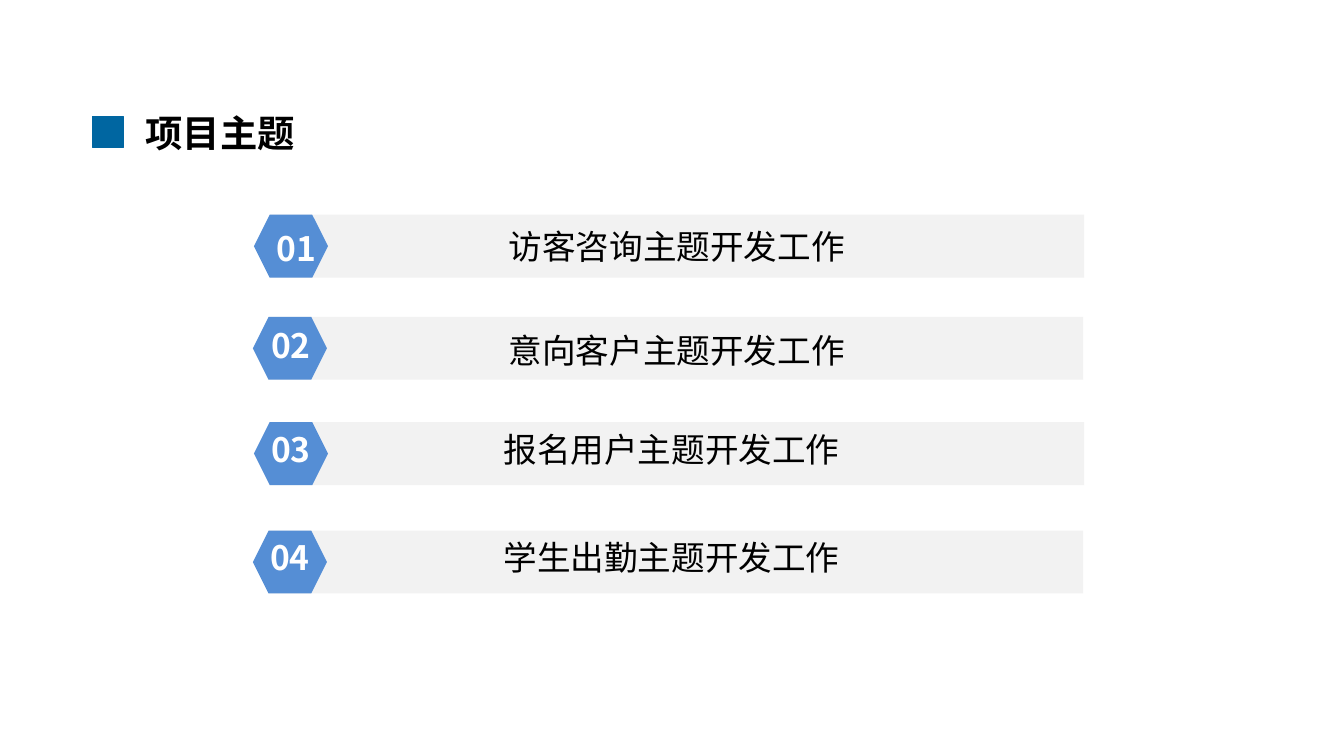
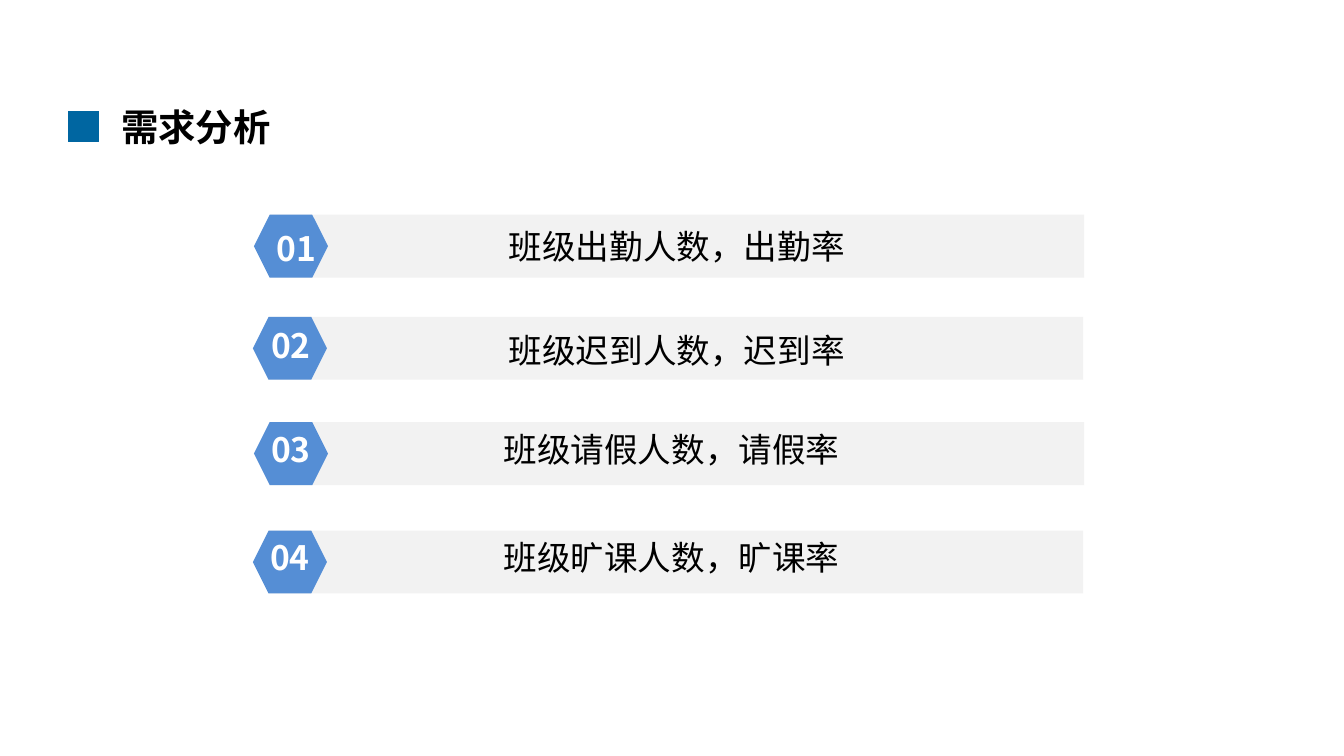
import pptx
import pptx.util
import pptx.dml.color
import pptx.enum.shapes
import pptx.enum.text
import pptx.oxml.ns
import lxml.etree

Cm = pptx.util.Cm
Pt = pptx.util.Pt
SHAPE = pptx.enum.shapes.MSO_SHAPE
ALIGN = pptx.enum.text.PP_ALIGN

FONT = "Noto Sans CJK SC"
COLORS = {
    "marker": "0066A1",
    "band": "F2F2F2",
    "badge": "558ED5",
    "text": "000000",
    "number": "FFFFFF",
}

TILE = 0.29
BAND_WIDTH, BAND_HEIGHT = 15.39, 1.19
BADGE_WIDTH = 1.4
LABEL_WIDTH, LABEL_HEIGHT = 11.2, 1.02

# left, top, number (left, top), label (left, top)
ROWS = [
    (4.8, 4.06, (4.9, 4.19), (7.19, 4.14)),
    (4.78, 5.99, (4.8, 6.02), (7.19, 6.12)),
    (4.8, 7.98, (4.8, 7.98), (7.09, 7.98)),
    (4.78, 10.03, (4.78, 10.03), (7.09, 10.03)),
]

SLIDES = [
    ("项目主题", 1.75, 2.21, [
        "访客咨询主题开发工作",
        "意向客户主题开发工作",
        "报名用户主题开发工作",
        "学生出勤主题开发工作",
    ]),
    ("需求分析", 1.29, 2.1, [
        "班级出勤人数，出勤率",
        "班级迟到人数，迟到率",
        "班级请假人数，请假率",
        "班级旷课人数，旷课率",
    ]),
]


def add_block(shapes, preset, left, top, width, height, color, outlined=False):
    block = shapes.add_shape(preset, Cm(left), Cm(top), Cm(width), Cm(height))
    block.shadow.inherit = False
    rgb = pptx.dml.color.RGBColor.from_string(COLORS[color])
    block.fill.solid()
    block.fill.fore_color.rgb = rgb
    if outlined:
        block.line.color.rgb = rgb
        block.line.width = Pt(0.5)
    else:
        block.line.fill.background()


def add_text(slide, wording, left, top, width, height, size, color, bold, align):
    box = slide.shapes.add_textbox(Cm(left), Cm(top), Cm(width), Cm(height))
    box.text_frame.word_wrap = True
    box.text_frame.auto_size = pptx.enum.text.MSO_AUTO_SIZE.SHAPE_TO_FIT_TEXT
    paragraph = box.text_frame.paragraphs[0]
    paragraph.alignment = align
    run = paragraph.add_run()
    run.text = wording
    run.font.name = FONT
    run.font.size = Pt(size)
    run.font.bold = bold
    run.font.color.rgb = pptx.dml.color.RGBColor.from_string(COLORS[color])
    east_asian = lxml.etree.SubElement(run.font._element, pptx.oxml.ns.qn("a:ea"))
    east_asian.set("typeface", FONT)


deck = pptx.Presentation()
deck.slide_width = Cm(25.4)
deck.slide_height = Cm(14.29)

for title, marker_left, marker_top, topics in SLIDES:
    slide = deck.slides.add_slide(deck.slide_layouts[6])
    add_text(slide, title, marker_left + 0.75, marker_top - 0.26, 16.61, 1.12,
             20, "text", True, ALIGN.LEFT)

    marker = slide.shapes.add_group_shape()
    for column, row in [(0, 0), (1, 0), (1, 1), (0, 1)]:
        add_block(marker.shapes, SHAPE.RECTANGLE, marker_left + column * TILE,
                  marker_top + row * TILE, TILE, TILE, "marker", outlined=True)

    for index, (topic, (left, top, number_at, label_at)) in enumerate(zip(topics, ROWS), 1):
        add_block(slide.shapes, SHAPE.RECTANGLE, left + 0.3, top,
                  BAND_WIDTH, BAND_HEIGHT, "band")
        add_block(slide.shapes, SHAPE.HEXAGON, left, top,
                  BADGE_WIDTH, BAND_HEIGHT, "badge")
        add_text(slide, f"{index:02d}", *number_at, BADGE_WIDTH, LABEL_HEIGHT,
                 18, "number", True, ALIGN.CENTER)
        add_text(slide, topic, *label_at, LABEL_WIDTH, LABEL_HEIGHT,
                 18, "text", False, ALIGN.CENTER)

deck.save("out.pptx")
